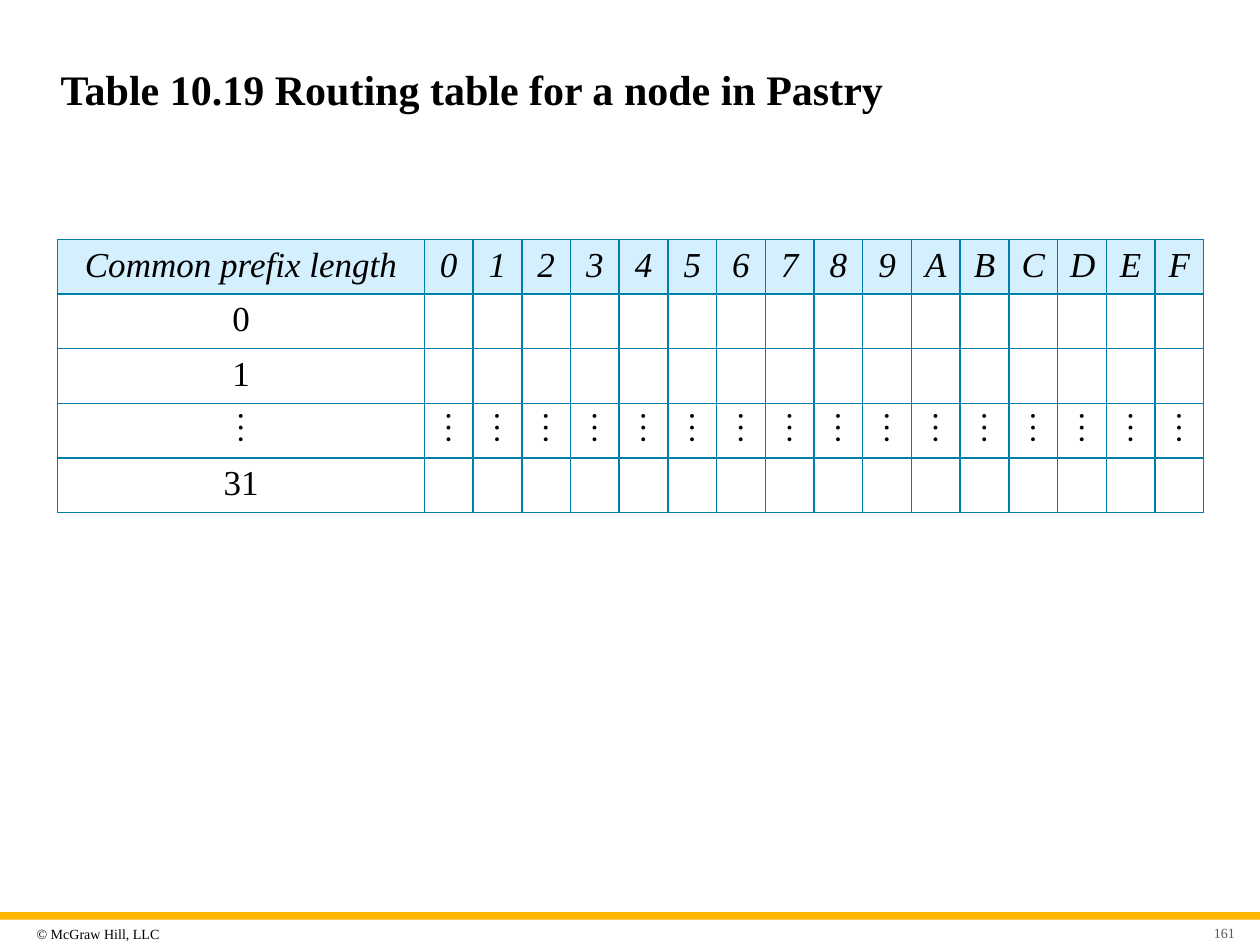
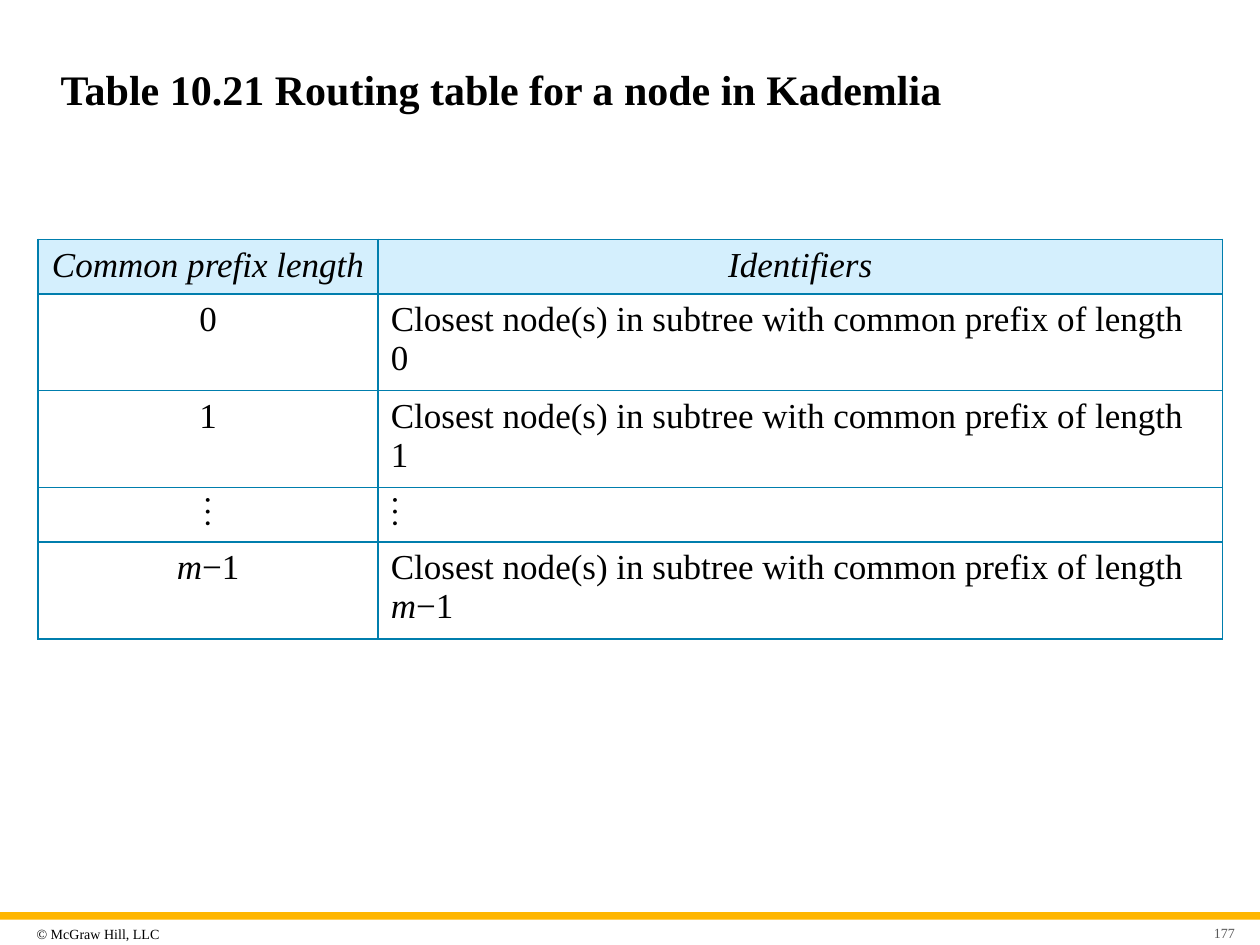
"""Build two slides that show the routing tables of Pastry and Kademlia nodes."""
from dataclasses import dataclass

from lxml import etree
from pptx import Presentation
from pptx.dml.color import RGBColor
from pptx.enum.shapes import MSO_SHAPE
from pptx.enum.text import MSO_ANCHOR, MSO_AUTO_SIZE, PP_ALIGN
from pptx.oxml.ns import qn
from pptx.slide import Slide
from pptx.table import _Cell
from pptx.util import Pt

RECTANGLE = MSO_SHAPE.RECTANGLE
MIDDLE = MSO_ANCHOR.MIDDLE
NO_AUTOFIT = MSO_AUTO_SIZE.NONE
LEFT, CENTER, RIGHT = PP_ALIGN.LEFT, PP_ALIGN.CENTER, PP_ALIGN.RIGHT

SLIDE_WIDTH, SLIDE_HEIGHT = 720, 540
TITLE_ONLY = 5
TABLE_TOP, ROW_HEIGHT = 136.8, 29.5
COPYRIGHT = "© McGraw Hill, LLC"
DOTS = "⋮"
HEX_DIGITS = "0123456789ABCDEF"
PREFIX_HEADING = "Common prefix length"


@dataclass(frozen=True)
class Theme:
    font: str = "Times New Roman"
    ink: str = "000000"
    page_ink: str = "595959"
    band: str = "FFB600"
    header_fill: str = "D4EFFD"
    border: str = "007EAD"
    border_width: float = 1
    title_size: float = 24
    table_size: float = 20
    footer_size: float = 8


@dataclass(frozen=True)
class Box:
    left: float
    top: float
    width: float
    height: float

    def points(self) -> tuple[Pt, Pt, Pt, Pt]:
        return Pt(self.left), Pt(self.top), Pt(self.width), Pt(self.height)


@dataclass(frozen=True)
class FooterLabel:
    box: Box
    align: PP_ALIGN
    color: str
    left_inset: float


@dataclass(frozen=True)
class RoutingSlide:
    title: str
    page: str
    left: float
    widths: list[float]
    aligns: list[PP_ALIGN]
    rows: list[list[str]]


THEME = Theme()
TITLE_BOX = Box(27.4, 23.8, 666, 53.3)
BAND_BOX = Box(0, 521.3, SLIDE_WIDTH, 4.3)
COPYRIGHT_LABEL = FooterLabel(Box(17.3, 524.9, 97.2, 17.3), LEFT, THEME.ink, 3.6)
PAGE_LABEL = FooterLabel(Box(681.1, 526.3, 28.1, 13), RIGHT, THEME.page_ink, 7.2)


def pastry_row(prefix: str, entry: str = "") -> list[str]:
    return [prefix] + [entry] * len(HEX_DIGITS)


def kademlia_row(prefix: str) -> list[str]:
    return [prefix, f"Closest node(s) in subtree with common prefix of length {prefix}"]


ROUTING_SLIDES = [
    RoutingSlide(
        title="Table 10.19 Routing table for a node in Pastry",
        page="161",
        left=33,
        widths=[209.5] + [27.86] * len(HEX_DIGITS),
        aligns=[CENTER] * (1 + len(HEX_DIGITS)),
        rows=[
            [PREFIX_HEADING, *HEX_DIGITS],
            pastry_row("0"),
            pastry_row("1"),
            pastry_row(DOTS, DOTS),
            pastry_row("31"),
        ],
    ),
    RoutingSlide(
        title="Table 10.21 Routing table for a node in Kademlia",
        page="177",
        left=21.7,
        widths=[194.4, 482.4],
        aligns=[CENTER, LEFT],
        rows=[
            [PREFIX_HEADING, "Identifiers"],
            kademlia_row("0"),
            kademlia_row("1"),
            [DOTS, DOTS],
            kademlia_row("*m*−1"),
        ],
    ),
]


def style_font(font, size: float, color: str, bold: bool = False, italic: bool = False) -> None:
    font.name = THEME.font
    font.size = Pt(size)
    font.bold = bold
    font.italic = italic
    font.color.rgb = RGBColor.from_string(color)


def draw_title(slide: Slide, text: str) -> None:
    title = slide.shapes.title
    title.left, title.top, title.width, title.height = TITLE_BOX.points()
    frame = title.text_frame
    frame.text = text
    frame.auto_size = NO_AUTOFIT
    frame.vertical_anchor = MIDDLE
    heading = frame.paragraphs[0]
    heading.alignment = LEFT
    style_font(heading.font, THEME.title_size, THEME.ink, bold=True)


def draw_band(slide: Slide) -> None:
    band = slide.shapes.add_shape(RECTANGLE, *BAND_BOX.points())
    band.shadow.inherit = False
    band.fill.solid()
    band.fill.fore_color.rgb = RGBColor.from_string(THEME.band)
    band.line.fill.background()


def draw_footer_label(slide: Slide, label: FooterLabel, text: str) -> None:
    frame = slide.shapes.add_textbox(*label.box.points()).text_frame
    frame.word_wrap = True
    frame.vertical_anchor = MIDDLE
    frame.margin_left = Pt(label.left_inset)
    frame.margin_right = frame.margin_top = frame.margin_bottom = Pt(3.6)
    frame.text = text
    line = frame.paragraphs[0]
    line.alignment = label.align
    style_font(line.font, THEME.footer_size, label.color)


def draw_borders(cell: _Cell) -> None:
    properties = cell._tc.get_or_add_tcPr()
    for position, side in enumerate(("a:lnL", "a:lnR", "a:lnT", "a:lnB")):
        border = etree.Element(qn(side), w=str(Pt(THEME.border_width)))
        fill = etree.SubElement(border, qn("a:solidFill"))
        etree.SubElement(fill, qn("a:srgbClr"), val=THEME.border)
        properties.insert(position, border)


def fill_cell(cell: _Cell, marked_text: str, align: PP_ALIGN, is_header: bool) -> None:
    """Write a cell, with the parts between asterisks in italics."""
    if is_header:
        cell.fill.solid()
        cell.fill.fore_color.rgb = RGBColor.from_string(THEME.header_fill)
    else:
        cell.fill.background()
    draw_borders(cell)
    paragraph = cell.text_frame.paragraphs[0]
    paragraph.alignment = align
    style_font(paragraph.font, THEME.table_size, THEME.ink, italic=is_header)
    for index, part in enumerate(marked_text.split("*")):
        if part:
            run = paragraph.add_run()
            run.text = part
            if index % 2:
                run.font.italic = True


def draw_routing_table(slide: Slide, content: RoutingSlide) -> None:
    box = Box(content.left, TABLE_TOP, sum(content.widths), ROW_HEIGHT * len(content.rows))
    table = slide.shapes.add_table(
        len(content.rows), len(content.widths), *box.points()
    ).table
    table.first_row = table.horz_banding = False
    for column, width in zip(table.columns, content.widths):
        column.width = Pt(width)
    for row_index, texts in enumerate(content.rows):
        table.rows[row_index].height = Pt(ROW_HEIGHT)
        for column_index, text in enumerate(texts):
            is_header = row_index == 0
            align = CENTER if is_header else content.aligns[column_index]
            fill_cell(table.cell(row_index, column_index), text, align, is_header)


def main() -> None:
    presentation = Presentation()
    presentation.slide_width = Pt(SLIDE_WIDTH)
    presentation.slide_height = Pt(SLIDE_HEIGHT)
    for content in ROUTING_SLIDES:
        slide = presentation.slides.add_slide(presentation.slide_layouts[TITLE_ONLY])
        draw_band(slide)
        draw_footer_label(slide, COPYRIGHT_LABEL, COPYRIGHT)
        draw_title(slide, content.title)
        draw_routing_table(slide, content)
        draw_footer_label(slide, PAGE_LABEL, content.page)
    presentation.save("out.pptx")


if __name__ == "__main__":
    main()
